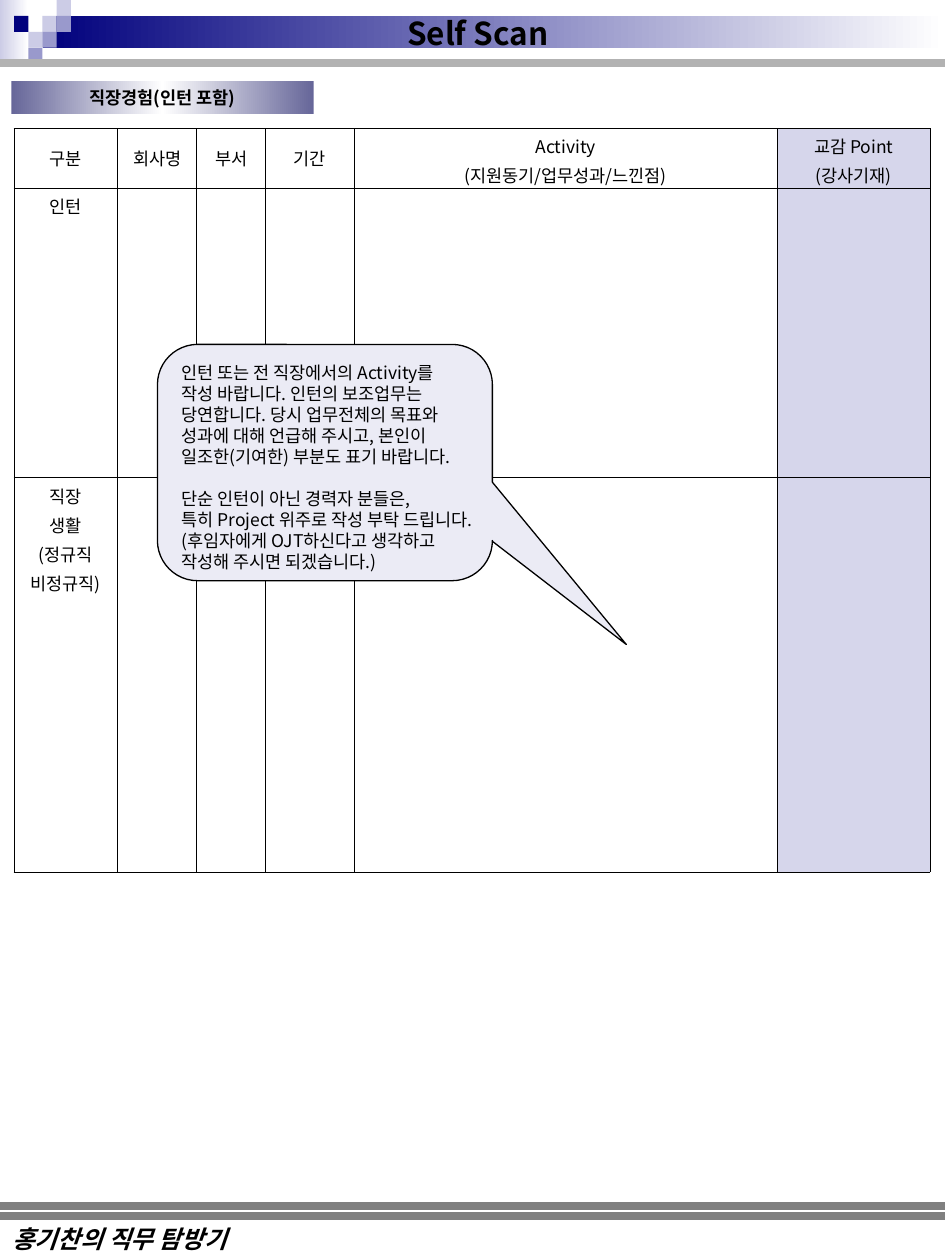
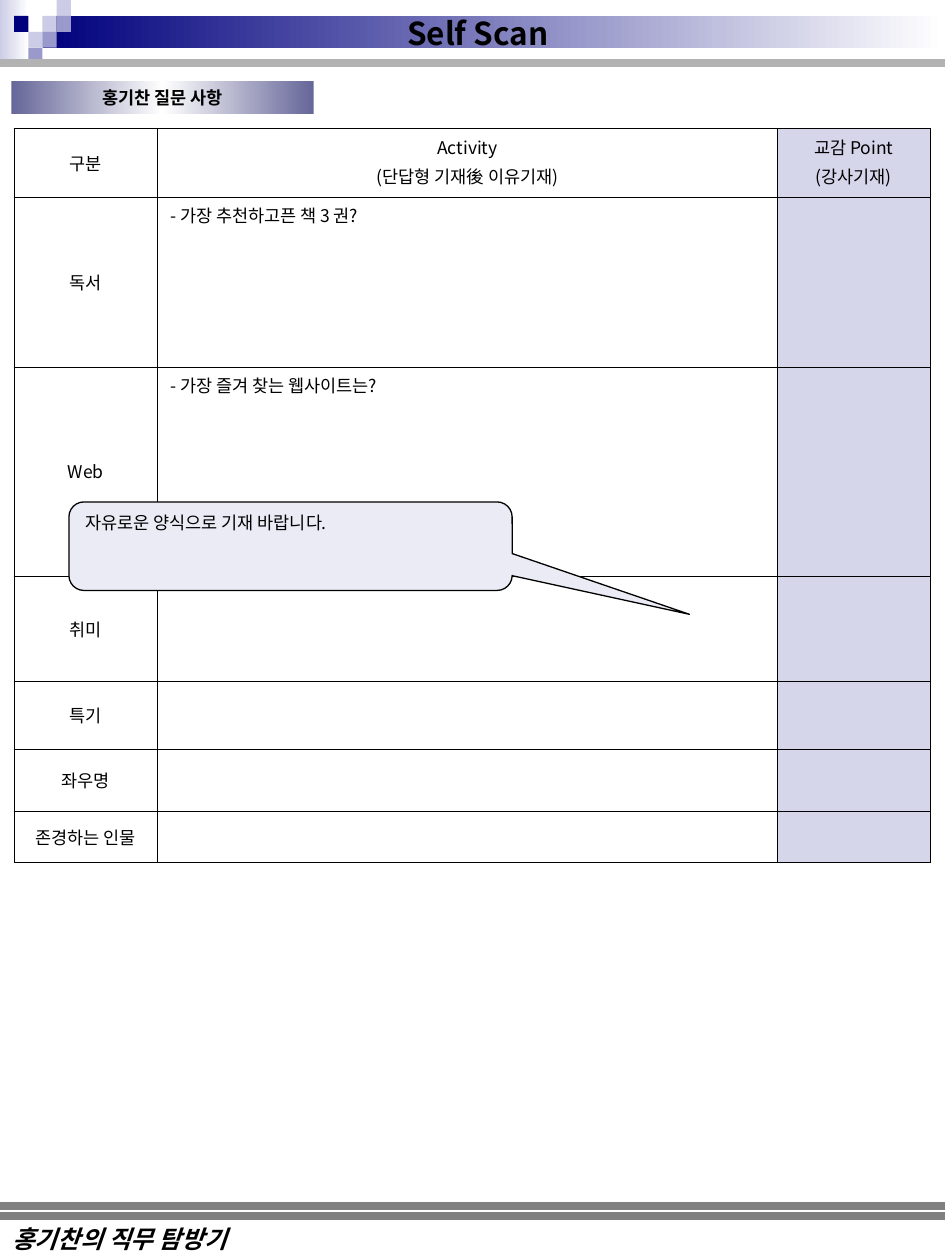
import pptx
import pptx.dml.color
import pptx.enum.shapes
import pptx.enum.text
import pptx.oxml
import pptx.oxml.ns
import pptx.util

Pt = pptx.util.Pt
RGBColor = pptx.dml.color.RGBColor
SHAPES = pptx.enum.shapes.MSO_SHAPE
ALIGN = pptx.enum.text.PP_ALIGN
ANCHOR = pptx.enum.text.MSO_ANCHOR
qn = pptx.oxml.ns.qn

# Palette and fonts
BLACK = RGBColor(0x00, 0x00, 0x00)
WHITE = RGBColor(0xFF, 0xFF, 0xFF)
NAVY = RGBColor(0x00, 0x00, 0x7D)
SLATE = RGBColor(0x66, 0x66, 0x99)
VIOLET = RGBColor(0x99, 0x99, 0xCC)
LILAC = RGBColor(0xCC, 0xCC, 0xE6)
POINT_FILL = RGBColor(0xD6, 0xD6, 0xEB)
CALLOUT_FILL = RGBColor(0xEB, 0xEB, 0xF5)
SILVER = RGBColor(0xB2, 0xB2, 0xB2)
GRAY = RGBColor(0x80, 0x80, 0x80)
FONT = "Noto Sans CJK KR"
FOOTER_FONT = "Times New Roman"

# Page frame
PAGE_WIDTH, PAGE_HEIGHT = 540, 720
TILE_WIDTH, TILE_HEIGHT = 8.1, 9.1
TILES = [(3, 1, LILAC), (4, 0, LILAC), (4, 1, VIOLET), (2, 2, LILAC),
         (1, 1, NAVY), (3, 2, VIOLET), (2, 3, VIOLET)]
RULES = [(36, SILVER), (694.8, GRAY), (689, GRAY)]
TABLE_LEFT, TABLE_TOP = 8, 73.5


class Worksheet:
    """Holds the deck style and the page being drawn."""

    def __init__(self):
        self.deck = pptx.Presentation()
        self.deck.slide_width = Pt(PAGE_WIDTH)
        self.deck.slide_height = Pt(PAGE_HEIGHT)
        self.page = None

    def start_page(self, heading):
        self.page = self.deck.slides.add_slide(self.deck.slide_layouts[5])
        # Band with its tiles
        self.gradient_box((0, 0, 2 * TILE_WIDTH, 36), [LILAC, WHITE])
        band_left = 3 * TILE_WIDTH
        self.gradient_box((band_left, TILE_HEIGHT, PAGE_WIDTH - band_left, 2 * TILE_HEIGHT),
                          [NAVY, WHITE])
        for column, row, color in TILES:
            tile = self.shape((column * TILE_WIDTH, row * TILE_HEIGHT, TILE_WIDTH, TILE_HEIGHT))
            tile.fill.solid()
            tile.fill.fore_color.rgb = color
        # Rules and footer
        for height, color in RULES:
            self.rule(height, color)
        footer = self.page.shapes.add_textbox(Pt(0), Pt(696.2), Pt(247.7), Pt(24.5))
        footer.text_frame.word_wrap = True
        self.add_text(footer.text_frame, ["홍기찬의 직무 탐방기"], size=14,
                      font=FOOTER_FONT, bold=True, italic=True)
        self.title("Self Scan")
        # Section heading
        box = self.gradient_box((6.5, 46, 172.8, 19.2), [SLATE, WHITE, SLATE])
        self.add_text(box.text_frame, [heading], align=ALIGN.CENTER, bold=True)

    def title(self, text):
        box = self.page.shapes.title
        box.left, box.top, box.width, box.height = Pt(225.4), Pt(2.9), Pt(96.5), Pt(28.8)
        frame = box.text_frame
        frame.auto_size = pptx.enum.text.MSO_AUTO_SIZE.NONE
        frame.word_wrap = False
        frame.vertical_anchor = ANCHOR.TOP
        self.add_text(frame, [text], size=18, bold=True, pitch=23)
        self.page.shapes._spTree.append(box._element)  # in front of the band

    def add_text(self, frame, lines, size=10, font=FONT, align=ALIGN.LEFT,
                 bold=False, italic=False, pitch=None, gap=0):
        """A line may be a (text, gap) pair when it needs its own gap."""
        for index, line in enumerate(lines):
            text, space = line if isinstance(line, tuple) else (line, gap)
            para = frame.paragraphs[0] if index == 0 else frame.add_paragraph()
            para.alignment = align
            para.space_before = Pt(space if index else 0)
            if pitch:
                para.line_spacing = Pt(pitch)
            span = para.add_run()
            span.text = text
            span.font.size = Pt(size)
            span.font.name = font
            span.font.bold = bold
            span.font.italic = italic
            span.font.color.rgb = BLACK
            if font == FONT:
                east_asian = pptx.oxml.parse_xml(
                    f'<a:ea {pptx.oxml.ns.nsdecls("a")} typeface="{font}"/>')
                span._r.rPr.find(qn("a:latin")).addnext(east_asian)

    def shape(self, place, kind=SHAPES.RECTANGLE):
        shape = self.page.shapes.add_shape(kind, *map(Pt, place))
        shape.shadow.inherit = False
        shape.line.fill.background()
        return shape

    def gradient_box(self, place, colors):
        box = self.shape(place)
        box.fill.gradient()
        box.fill.gradient_angle = 0
        stops = box._element.spPr.find(qn("a:gradFill")).find(qn("a:gsLst"))
        for stop in list(stops):
            stops.remove(stop)
        for index, color in enumerate(colors):
            position = 100000 * index // (len(colors) - 1)
            stops.append(pptx.oxml.parse_xml(
                f'<a:gs {pptx.oxml.ns.nsdecls("a")} pos="{position}">'
                f'<a:srgbClr val="{color}"/></a:gs>'))
        return box

    def rule(self, height, color):
        line = self.page.shapes.add_connector(
            pptx.enum.shapes.MSO_CONNECTOR.STRAIGHT,
            Pt(0), Pt(height), Pt(PAGE_WIDTH), Pt(height))
        line.line.color.rgb = color
        line.line.width = Pt(4.5)
        line._element.spPr.append(line._element.makeelement(qn("a:effectLst"), {}))

    def callout(self, place, lines):
        bubble = self.shape(place, SHAPES.ROUNDED_RECTANGULAR_CALLOUT)
        for index, value in enumerate((0.9, 0.77, 0.17)):
            bubble.adjustments[index] = value
        bubble.fill.solid()
        bubble.fill.fore_color.rgb = CALLOUT_FILL
        bubble.line.color.rgb = BLACK
        bubble.line.width = Pt(0.75)
        bubble.text_frame.word_wrap = False
        bubble.text_frame.vertical_anchor = ANCHOR.TOP
        self.add_text(bubble.text_frame, lines, pitch=12)

    def table(self, widths, heights, texts, middle, left_aligned=(), tight_header=False):
        """texts and middle are keyed by (row, column); the last column is shaded."""
        grid = self.page.shapes.add_table(
            len(heights), len(widths), Pt(TABLE_LEFT), Pt(TABLE_TOP),
            Pt(sum(widths)), Pt(sum(heights))).table
        grid.first_row = grid.horz_banding = False
        for column, width in zip(grid.columns, widths):
            column.width = Pt(width)
        for row, height in zip(grid.rows, heights):
            row.height = Pt(height)
        for row in range(len(heights)):
            for column in range(len(widths)):
                cell = grid.cell(row, column)
                lines = texts.get((row, column), [])
                if (row, column) in middle:
                    cell.vertical_anchor = ANCHOR.MIDDLE
                if tight_header and row == 0 and len(lines) > 1:
                    cell.margin_top, cell.margin_bottom = Pt(3), Pt(0)
                align = ALIGN.LEFT if (row, column) in left_aligned else ALIGN.CENTER
                self.add_text(cell.text_frame, lines, align=align, pitch=14, gap=2.5)
                self.outline(cell)
                if column == len(widths) - 1:
                    cell.fill.solid()
                    cell.fill.fore_color.rgb = POINT_FILL
                else:
                    cell.fill.background()

    def outline(self, cell):
        properties = cell._tc.get_or_add_tcPr()
        for side in ("lnL", "lnR", "lnT", "lnB"):
            properties.append(pptx.oxml.parse_xml(
                f'<a:{side} {pptx.oxml.ns.nsdecls("a")} w="{Pt(0.45)}">'
                f'<a:solidFill><a:srgbClr val="{BLACK}"/></a:solidFill></a:{side}>'))


def main():
    sheet = Worksheet()
    point_header = ["교감 Point", "(강사기재)"]

    # Work experience
    sheet.start_page("직장경험(인턴 포함)")
    header = [["구분"], ["회사명"], ["부서"], ["기간"],
              ["Activity", "(지원동기/업무성과/느낀점)"], point_header]
    texts = {(0, column): lines for column, lines in enumerate(header)}
    texts[1, 0] = ["인턴"]
    texts[2, 0] = ["직장", "생활", "(정규직", "비정규직)"]
    sheet.table([59.2, 45.3, 39.2, 50.6, 242, 87.2], [33.9, 165.6, 225.4], texts,
                middle={(0, column) for column in range(len(header))}, tight_header=True)
    sheet.callout((90, 196.8, 191.4, 135), [
        "인턴 또는 전 직장에서의 Activity를",
        "작성 바랍니다. 인턴의 보조업무는",
        "당연합니다. 당시 업무전체의 목표와",
        "성과에 대해 언급해 주시고, 본인이",
        "일조한(기여한) 부분도 표기 바랍니다.",
        ("단순 인턴이 아닌 경력자 분들은,", 12),
        "특히 Project 위주로 작성 부탁 드립니다.",
        "(후임자에게 OJT하신다고 생각하고",
        "작성해 주시면 되겠습니다.)",
    ])

    # Personal questions
    sheet.start_page("홍기찬 질문 사항")
    topics = ["구분", "독서", "Web", "취미", "특기", "좌우명", "존경하는 인물"]
    texts = {(row, 0): [topic] for row, topic in enumerate(topics)}
    texts[0, 1] = ["Activity", "(단답형 기재後 이유기재)"]
    texts[0, 2] = point_header
    texts[1, 1] = ["- 가장 추천하고픈 책 3 권?"]
    texts[2, 1] = ["- 가장 즐겨 찾는 웹사이트는?"]
    sheet.table([82, 354.3, 87.2], [39.2, 97, 119.8, 60, 38.9, 35.3, 25.2], texts,
                middle={(row, 0) for row in range(len(topics))},
                left_aligned={(1, 1), (2, 1)})
    sheet.callout((39.4, 286.8, 253.3, 50.6), ["자유로운 양식으로 기재 바랍니다."])

    sheet.deck.save("out.pptx")


if __name__ == "__main__":
    main()
